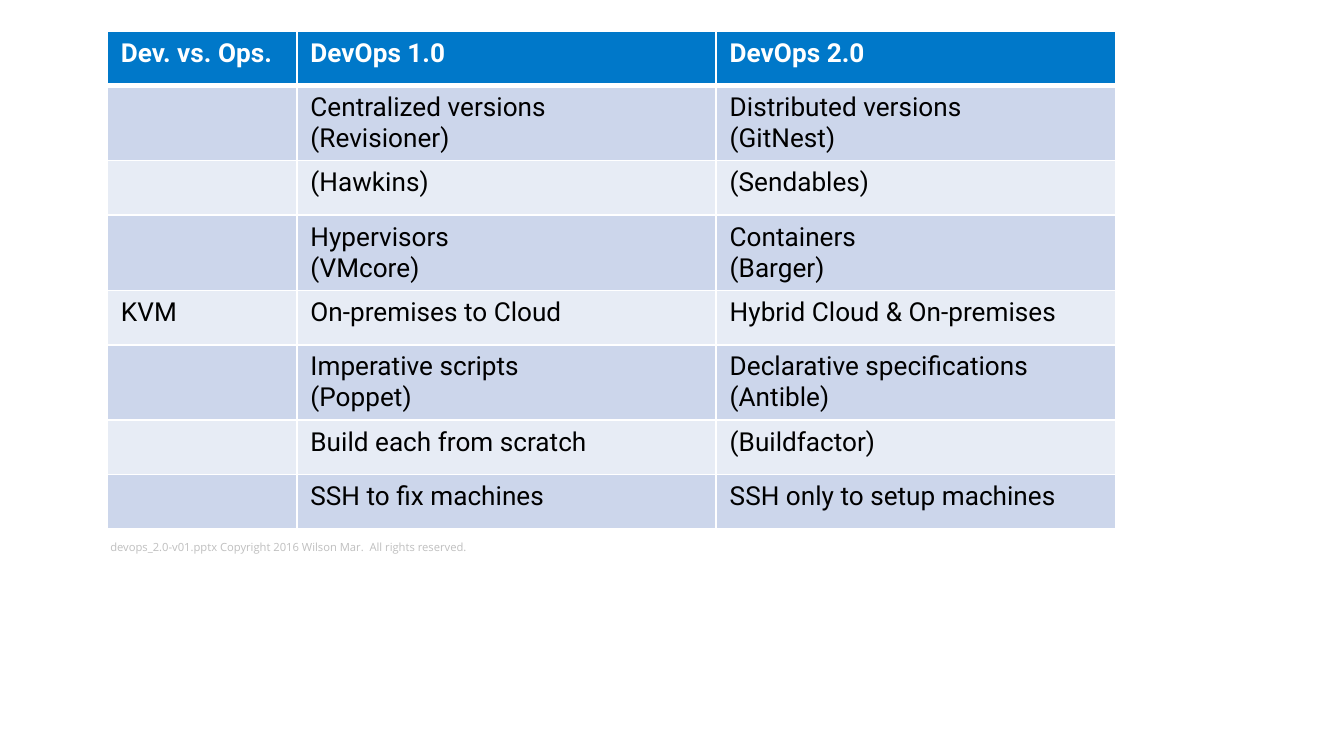
from typing import NamedTuple

from lxml.etree import SubElement
from pptx import Presentation
from pptx.dml.color import RGBColor
from pptx.enum.shapes import MSO_SHAPE
from pptx.enum.text import MSO_ANCHOR, PP_ALIGN
from pptx.oxml.ns import qn
from pptx.util import Inches, Pt

HUES = {
    "head": "0078C9",
    "dark": "CCD6EB",
    "light": "E7ECF5",
    "white": "FFFFFF",
    "black": "000000",
    "gray": "BFBFBF",
}


class Style(NamedTuple):
    font: str
    size: float
    hue: str
    bold: bool = False


class Row(NamedTuple):
    topic: str
    old: str
    new: str


HEAD = Style("Roboto", 14, "white", True)
BODY = Style("Roboto", 14, "black")
NOTE = Style("Open Sans", 6, "gray")
WIDTHS = (1.41, 3.12, 2.97)
ROWS = (
    Row("Dev. vs. Ops.", "DevOps 1.0", "DevOps 2.0"),
    Row("", "Centralized versions \n(Revisioner)", "Distributed versions \n(GitNest)"),
    Row("", "(Hawkins)", "(Sendables)"),
    Row("", "Hypervisors \n(VMcore)", "Containers \n(Barger)"),
    Row("KVM", "On-premises to Cloud", "Hybrid Cloud & On-premises"),
    Row("", "Imperative scripts\n(Poppet)", "Declarative specifications\n(Antible)"),
    Row("", "Build each from scratch", "(Buildfactor)"),
    Row("", "SSH to fix machines", "SSH only to setup machines"),
)
HEIGHT = 3.24 / len(ROWS)


def color(hue: str) -> RGBColor:
    return RGBColor.from_string(HUES[hue])


def write(frame, text: str, style: Style) -> None:
    para = frame.paragraphs[0]
    para.alignment = PP_ALIGN.LEFT
    for index, line in enumerate(text.split("\n")):
        if index:
            para.add_line_break()
        run = para.add_run()
        run.text = line
        font = run.font
        font.name, font.size, font.bold = style.font, Pt(style.size), style.bold
        font.color.rgb = color(style.hue)


def edge(cell, side: str, width: float) -> None:
    props = cell._tc.get_or_add_tcPr()
    line = SubElement(props, qn(f"a:ln{side}"), w=str(Pt(width)))
    fill = SubElement(line, qn("a:solidFill"))
    SubElement(fill, qn("a:srgbClr"), val=HUES["white"])


def draw_cell(cell, text: str, row: int) -> None:
    for side in "LRTB":
        thick = (row == 0 and side == "B") or (row == 1 and side == "T")
        edge(cell, side, 3 if thick else 1)
    cell.fill.solid()
    hue = "head" if row == 0 else "dark" if row % 2 else "light"
    cell.fill.fore_color.rgb = color(hue)
    if text:
        write(cell.text_frame, text, BODY if row else HEAD)


def draw_table(slide) -> None:
    table = slide.shapes.add_table(
        len(ROWS), len(WIDTHS), Inches(0.8), Inches(0.23),
        Inches(sum(WIDTHS)), Inches(HEIGHT * len(ROWS)),
    ).table
    for column, width in zip(table.columns, WIDTHS):
        column.width = Inches(width)
    for index, row in enumerate(ROWS):
        table.rows[index].height = Inches(HEIGHT)
        for spot, text in enumerate(row):
            draw_cell(table.cell(index, spot), text, index)


def draw_note(slide) -> None:
    note = slide.shapes.add_shape(
        MSO_SHAPE.ROUNDED_RECTANGLE,
        Inches(0.69), Inches(3.96), Inches(4.19), Inches(0.22),
    )
    note.adjustments[0] = 0.5
    note.shadow.inherit = False
    note.fill.background()
    note.line.fill.background()
    frame = note.text_frame
    frame.word_wrap = True
    frame.vertical_anchor = MSO_ANCHOR.MIDDLE
    write(frame, "devops_2.0-v01.pptx Copyright 2016 Wilson Mar.  All rights reserved.", NOTE)


def main() -> None:
    deck = Presentation()
    deck.slide_width, deck.slide_height = Inches(10), Inches(10 * 9 / 16)
    slide = deck.slides.add_slide(deck.slide_layouts[6])
    draw_table(slide)
    draw_note(slide)
    deck.save("out.pptx")


main()
